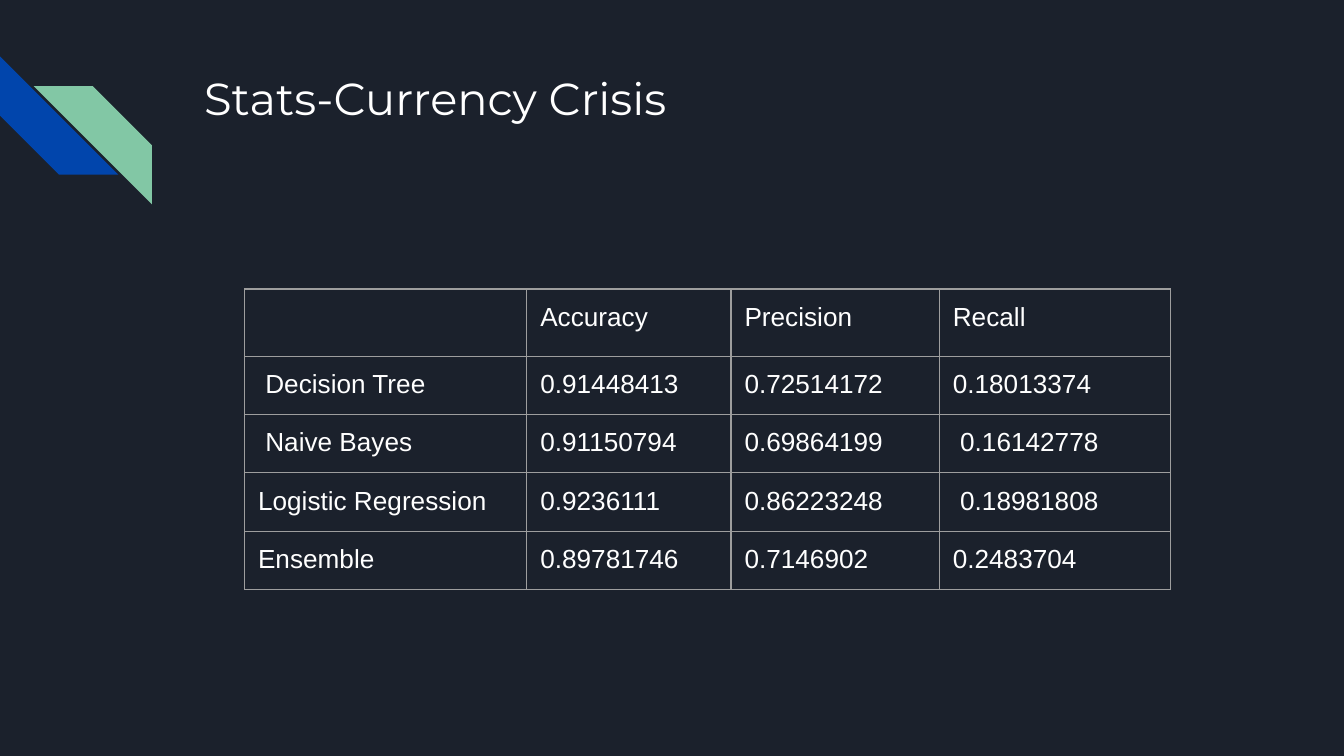
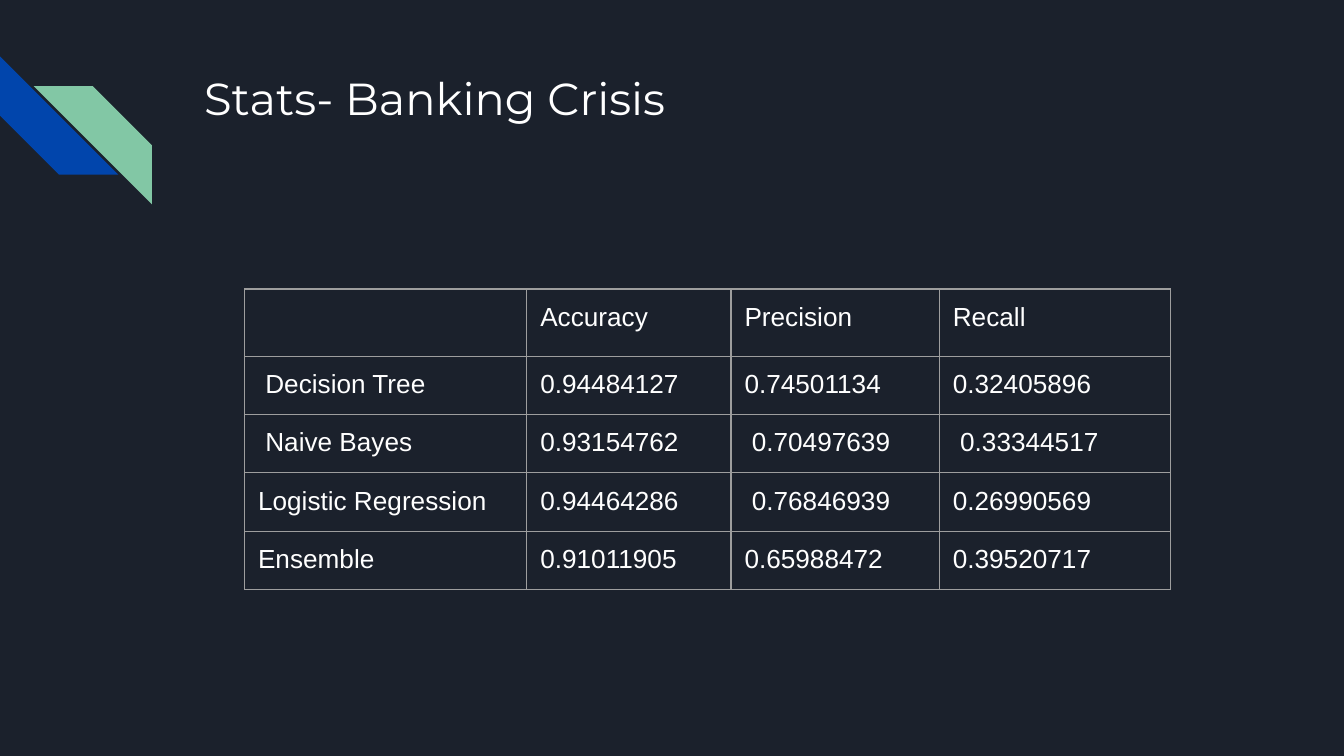
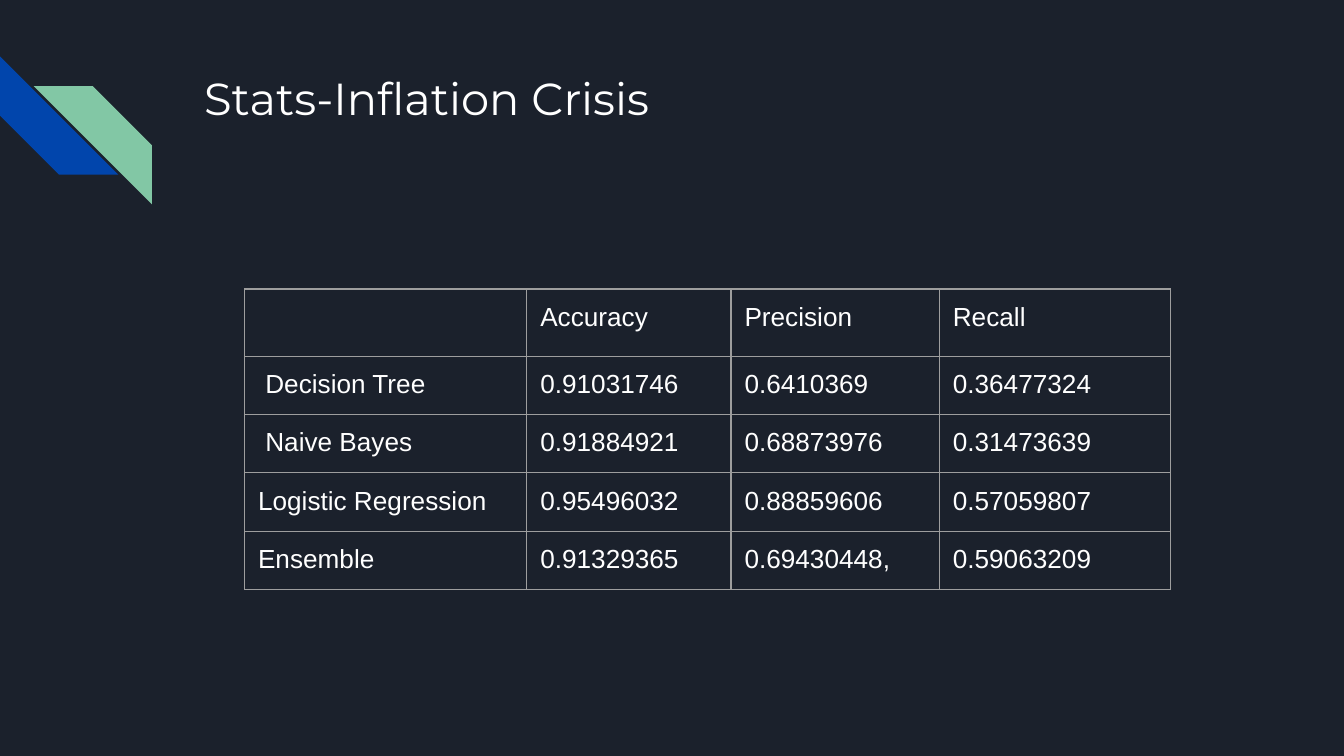
from lxml import etree
from pptx import Presentation
from pptx import util as u
from pptx.dml import color
from pptx.enum import shapes
from pptx.oxml import ns

BACK, BLUE, GREEN, WHITE, GREY = "1B212C", "0145AC", "82C7A5", "FFFFFF", "9E9E9E"
INSET = u.Inches(0.1)
COL_WIDTHS = [2.1, 1.52, 1.55, 1.72]
ROW_HEIGHT = 0.42
HEADER = ["", "Accuracy", "Precision", "Recall"]
MODELS = [" Decision Tree", " Naive Bayes", "Logistic Regression", "Ensemble"]

CRISES = {
    "Stats-Currency Crisis": [
        ["0.91448413", "0.72514172", "0.18013374"],
        ["0.91150794", "0.69864199", " 0.16142778"],
        ["0.9236111", "0.86223248", " 0.18981808"],
        ["0.89781746", "0.7146902", "0.2483704"],
    ],
    "Stats- Banking Crisis": [
        ["0.94484127", "0.74501134", "0.32405896"],
        ["0.93154762", " 0.70497639", " 0.33344517"],
        ["0.94464286", " 0.76846939", "0.26990569"],
        ["0.91011905", "0.65988472", "0.39520717"],
    ],
    "Stats-Inflation Crisis": [
        ["0.91031746", "0.6410369", "0.36477324"],
        ["0.91884921", "0.68873976", "0.31473639"],
        ["0.95496032", "0.88859606", "0.57059807"],
        ["0.91329365", "0.69430448,", "0.59063209"],
    ],
}


def paint(fmt, hex_color):
    """Give a fill or a font a solid colour."""
    if hasattr(fmt, "solid"):
        fmt.solid()
        fmt.fore_color.rgb = color.RGBColor.from_string(hex_color)
    else:
        fmt.color.rgb = color.RGBColor.from_string(hex_color)


def write(box, text, font, size):
    """Put text into a text frame or table cell, with even insets."""
    box.margin_left = box.margin_right = INSET
    box.margin_top = box.margin_bottom = INSET
    tf = getattr(box, "text_frame", box)
    tf.word_wrap = True
    p = tf.paragraphs[0]
    p.text = text
    for r in p.runs:
        r.font.name = font
        r.font.size = u.Pt(size)
        paint(r.font, WHITE)
        for script in ("ea", "cs"):
            etree.SubElement(r.font._element, ns.qn("a:" + script), typeface=font)
    # The paragraph end sets the line height of an empty cell
    end = etree.SubElement(p._p, ns.qn("a:endParaRPr"), sz=str(size * 100))
    for script in ("latin", "ea", "cs"):
        etree.SubElement(end, ns.qn("a:" + script), typeface=font)


prs = Presentation()
prs.slide_width, prs.slide_height = u.Inches(10), u.Inches(10 * 9 / 16)

for title, scores in CRISES.items():
    s = prs.slides.add_slide(prs.slide_layouts[6])
    paint(s.background.fill, BACK)

    # Corner stripes
    for left, top, fill, rotation, flip in [(0, 0.42, BLUE, 270, "0"),
                                            (0.25, 0.64, GREEN, 0, "1")]:
        sp = s.shapes.add_shape(shapes.MSO_SHAPE.DIAGONAL_STRIPE, u.Inches(left),
                                u.Inches(top), u.Inches(0.88), u.Inches(0.88))
        sp.adjustments[0] = 0.5
        sp.rotation = rotation
        sp._element.spPr.xfrm.set("flipH", flip)
        sp.shadow.inherit = False
        paint(sp.fill, fill)
        sp.line.fill.background()

    # Title
    tb = s.shapes.add_textbox(u.Inches(1.42), u.Inches(0.43), u.Inches(7.7), u.Inches(1))
    write(tb.text_frame, title, "Montserrat", 24)

    # Table of scores
    rows = [HEADER] + [[model] + values for model, values in zip(MODELS, scores)]
    tbl = s.shapes.add_table(len(rows), len(HEADER), u.Inches(1.82), u.Inches(2.15),
                             u.Inches(sum(COL_WIDTHS)),
                             u.Inches(ROW_HEIGHT * len(rows))).table
    tbl.first_row = tbl.horz_banding = False
    for col, width in zip(tbl.columns, COL_WIDTHS):
        col.width = u.Inches(width)
    for row, texts in zip(tbl.rows, rows):
        row.height = u.Inches(ROW_HEIGHT)
        for cell, text in zip(row.cells, texts):
            write(cell, text, "Arial", 14 if text else 18)
            # Borders come before the fill in the cell properties
            tcPr = cell._tc.get_or_add_tcPr()
            for side in ("lnL", "lnR", "lnT", "lnB"):
                ln = etree.SubElement(tcPr, ns.qn("a:" + side), w=str(u.Pt(0.75)))
                solid = etree.SubElement(ln, ns.qn("a:solidFill"))
                etree.SubElement(solid, ns.qn("a:srgbClr"), val=GREY)
            cell.fill.background()

prs.save("out.pptx")
